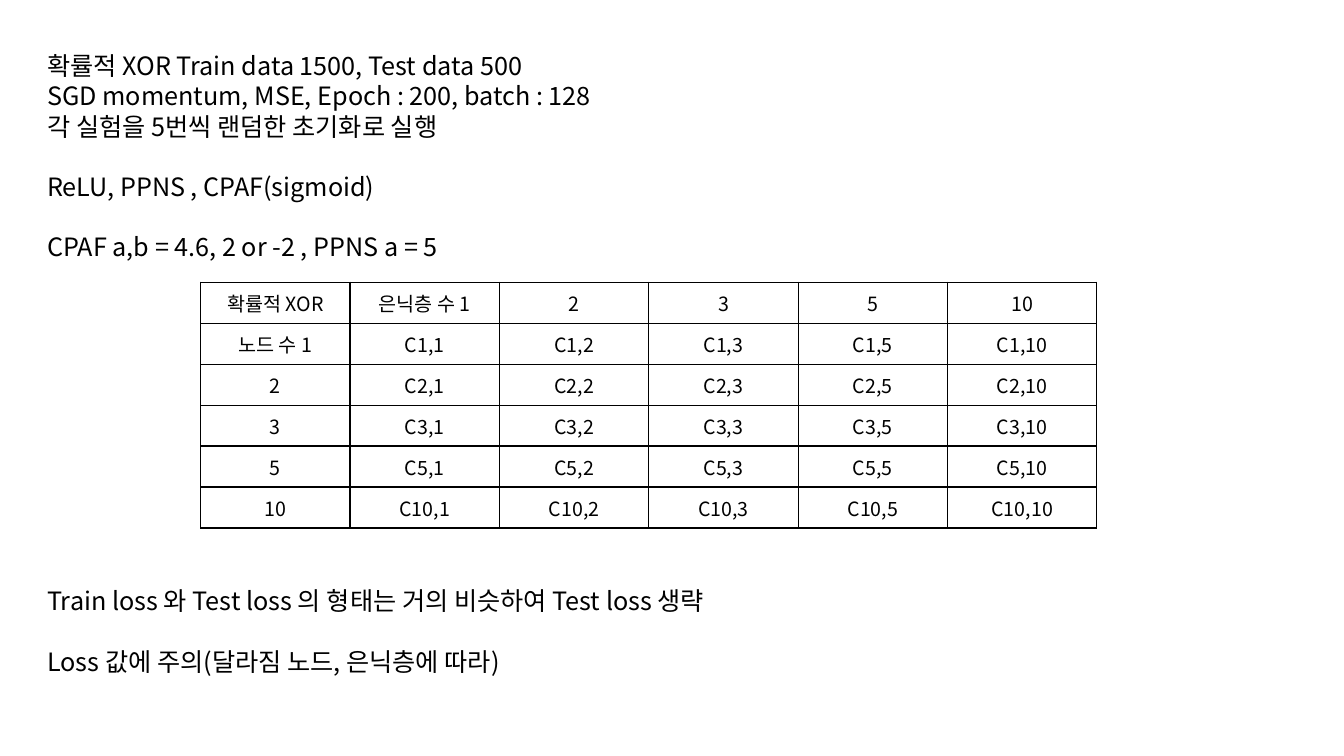
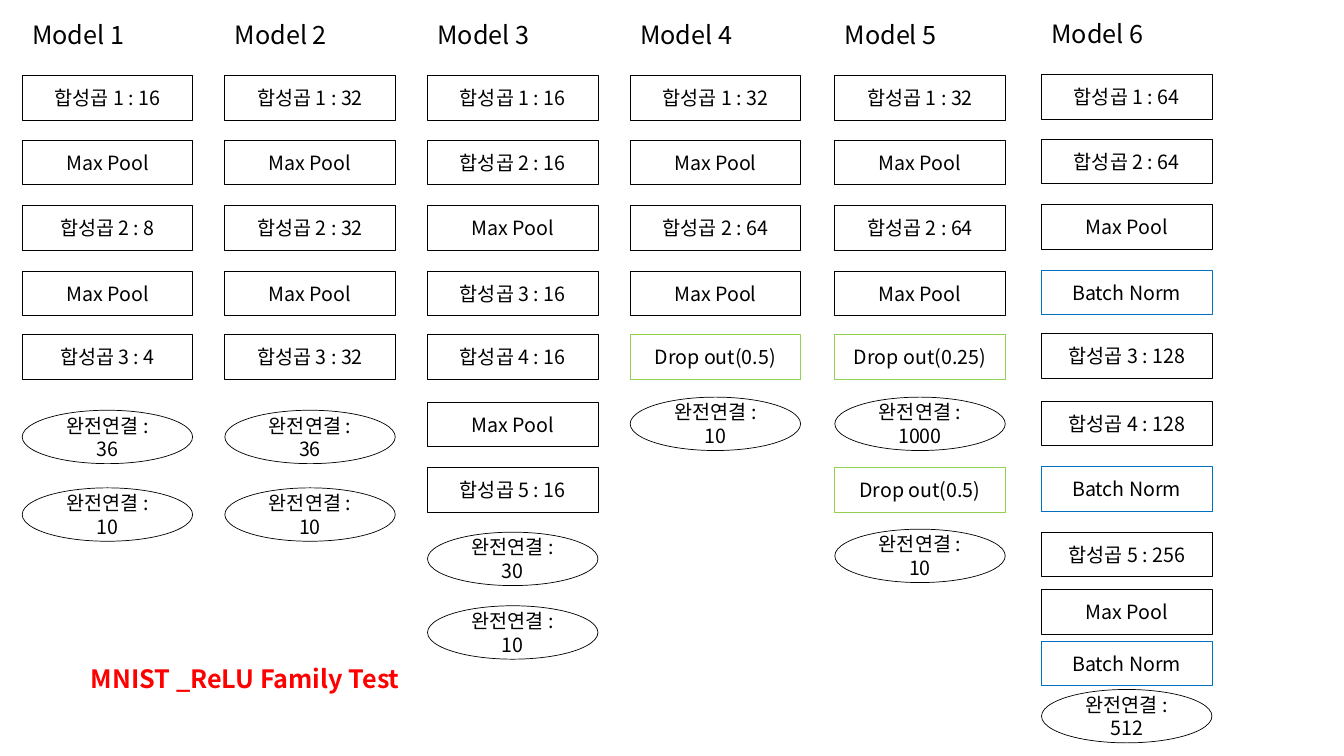
import pptx
import pptx.util
import pptx.dml.color
import pptx.enum.shapes
import pptx.enum.text
import pptx.oxml
import pptx.oxml.ns

Inches = pptx.util.Inches
Pt = pptx.util.Pt
RGB = pptx.dml.color.RGBColor
ALIGN = pptx.enum.text.PP_ALIGN
ANCHOR = pptx.enum.text.MSO_ANCHOR
SHAPE = pptx.enum.shapes.MSO_SHAPE

# Shared look
BLACK = RGB(0, 0, 0)
RED = RGB(0xFF, 0, 0)
GREEN = RGB(0x92, 0xD0, 0x50)
BLUE = RGB(0, 0x70, 0xC0)
FACE = "Noto Sans CJK KR"
BODY = {"name": FACE, "size": Pt(18), "bold": False}
SMALL = {**BODY, "size": Pt(14)}
HEAD = {**BODY, "bold": True}
GAP = Pt(21.6)  # one line of body text

# Slide 1: each inner list is a group of lines
SETUP = [
    ["확률적 XOR Train data 1500, Test data 500",
     "SGD momentum, MSE, Epoch : 200, batch : 128",
     "각 실험을 5번씩 랜덤한 초기화로 실행"],
    ["ReLU, PPNS , CPAF(sigmoid)"],
    ["CPAF a,b = 4.6, 2 or -2 , PPNS a = 5"],
]
NOTES = [
    ["Train loss 와 Test loss 의 형태는 거의 비슷하여 Test loss 생략"],
    ["Loss 값에 주의(달라짐 노드, 은닉층에 따라)"],
]
COUNTS = [1, 2, 3, 5, 10]

# Slide 2: left, top, layers, and layer tops measured from the column top
ROWS = [0.61, 1.25, 1.9, 2.55, 3.18, 3.85, 4.5, 5.15]
PAIR = ROWS[:5] + [3.93, 4.7]
MODELS = [
    (0.22, 0.14, ["합성곱 1 : 16", "Max Pool", "합성곱 2 : 8", "Max Pool",
                  "합성곱 3 : 4", "완전연결 : 36", "완전연결 : 10"], PAIR),
    (2.23, 0.14, ["합성곱 1 : 32", "Max Pool", "합성곱 2 : 32", "Max Pool",
                  "합성곱 3 : 32", "완전연결 : 36", "완전연결 : 10"], PAIR),
    (4.24, 0.14, ["합성곱 1 : 16", "합성곱 2 : 16", "Max Pool", "합성곱 3 : 16",
                  "합성곱 4 : 16", "Max Pool", "합성곱 5 : 16",
                  "완전연결 : 30", "완전연결 : 10"], ROWS[:7] + [5.14, 5.87]),
    (6.25, 0.14, ["합성곱 1 : 32", "Max Pool", "합성곱 2 : 64", "Max Pool",
                  "Drop out(0.5)", "완전연결 : 10"], ROWS[:5] + [3.8]),
    (8.28, 0.14, ["합성곱 1 : 32", "Max Pool", "합성곱 2 : 64", "Max Pool",
                  "Drop out(0.25)", "완전연결 : 1000", "Drop out(0.5)",
                  "완전연결 : 10"], ROWS[:5] + [3.8, 4.5, 5.11]),
    (10.33, 0.13, ["합성곱 1 : 64", "합성곱 2 : 64", "Max Pool", "Batch Norm",
                   "합성곱 3 : 128", "합성곱 4 : 128", "Batch Norm",
                   "합성곱 5 : 256", "Max Pool", "Batch Norm",
                   "완전연결 : 512"], ROWS + [5.72, 6.23, 6.71]),
]


def write(par, text, style, color=BLACK, align=ALIGN.LEFT):
    """Fill one paragraph with one styled run."""
    par.alignment = align
    run = par.add_run()
    run.text = text
    for key, value in style.items():
        setattr(run.font, key, value)
    run.font.color.rgb = color
    east = pptx.oxml.parse_xml(
        f'<a:ea {pptx.oxml.ns.nsdecls("a")} typeface="{FACE}"/>')
    run.font._element.append(east)


def add_text(slide, box, groups):
    """Place groups of lines, one empty line's height apart."""
    shape = slide.shapes.add_textbox(*map(Inches, box))
    frame = shape.text_frame
    frame.word_wrap = True
    par = None
    for group in groups:
        if par is not None:
            par.space_after = GAP
        for line in group:
            par = frame.paragraphs[0] if par is None else frame.add_paragraph()
            write(par, line, BODY)


def add_edges(cell):
    """Draw a thin black border on all four sides."""
    props = cell._tc.get_or_add_tcPr()
    for at, side in enumerate(("lnL", "lnR", "lnT", "lnB")):
        props.insert(at, pptx.oxml.parse_xml(
            f'<a:{side} {pptx.oxml.ns.nsdecls("a")} w="{Pt(1)}"><a:solidFill>'
            f'<a:srgbClr val="{BLACK}"/></a:solidFill></a:{side}>'))


def add_grid(slide, box):
    """Table of node counts against hidden layer counts."""
    cells = [["확률적 XOR", "은닉층 수 1"] + [str(n) for n in COUNTS[1:]]]
    for node in COUNTS:
        first = "노드 수 1" if node == 1 else str(node)
        cells.append([first] + [f"C{node},{deep}" for deep in COUNTS])
    size = len(cells)
    table = slide.shapes.add_table(size, size, *map(Inches, box)).table
    table.first_row = table.horz_banding = False
    for y, row in enumerate(cells):
        for x, text in enumerate(row):
            cell = table.cell(y, x)
            cell.fill.background()
            cell.vertical_anchor = ANCHOR.MIDDLE
            write(cell.text_frame.paragraphs[0], text, SMALL,
                  align=ALIGN.CENTER)
            add_edges(cell)


def add_layer(slide, left, top, text):
    """One network layer; its kind sets the outline."""
    dense = text.startswith("완전연결")
    kind, high = (SHAPE.OVAL, 0.53) if dense else (SHAPE.RECTANGLE, 0.44)
    tint = {"Drop": GREEN, "Batch": BLUE}.get(text.split()[0], BLACK)
    shape = slide.shapes.add_shape(
        kind, *map(Inches, (left, top, 1.69, high)))
    shape.shadow.inherit = False
    shape.fill.background()
    shape.line.color.rgb = tint
    shape.line.width = Pt(0.5)
    frame = shape.text_frame
    frame.word_wrap = True
    frame.vertical_anchor = ANCHOR.MIDDLE
    write(frame.paragraphs[0], text, SMALL, align=ALIGN.CENTER)


def add_model(slide, name, left, top, layers, tops):
    """A named column of layers."""
    add_text(slide, (left, top, 1.16, 0.4), [[name]])
    for text, down in zip(layers, tops):
        add_layer(slide, left, top + down, text)


def add_title(slide, box, text):
    title = slide.shapes.title
    for key, value in zip(("left", "top", "width", "height"), box):
        setattr(title, key, Inches(value))
    frame = title.text_frame
    frame.word_wrap = True
    frame.auto_size = pptx.enum.text.MSO_AUTO_SIZE.NONE
    frame.vertical_anchor = ANCHOR.TOP
    write(frame.paragraphs[0], text, HEAD, RED)


def make_setup(deck):
    slide = deck.slides.add_slide(deck.slide_layouts[6])
    add_grid(slide, (1.99, 2.8, 8.89, 2.44))
    add_text(slide, (0.37, 0.45, 5.68, 2.22), SETUP)
    add_text(slide, (0.37, 5.76, 7.17, 1.01), NOTES)


def make_models(deck):
    slide = deck.slides.add_slide(deck.slide_layouts[5])
    add_title(slide, (0.8, 6.53, 3.33, 0.4), "MNIST _ReLU Family Test")
    for num, model in enumerate(MODELS, 1):
        add_model(slide, f"Model {num}", *model)


def main():
    deck = pptx.Presentation()
    deck.slide_width = Inches(13.33)
    deck.slide_height = Inches(7.5)
    make_setup(deck)
    make_models(deck)
    deck.save("out.pptx")


if __name__ == "__main__":
    main()
